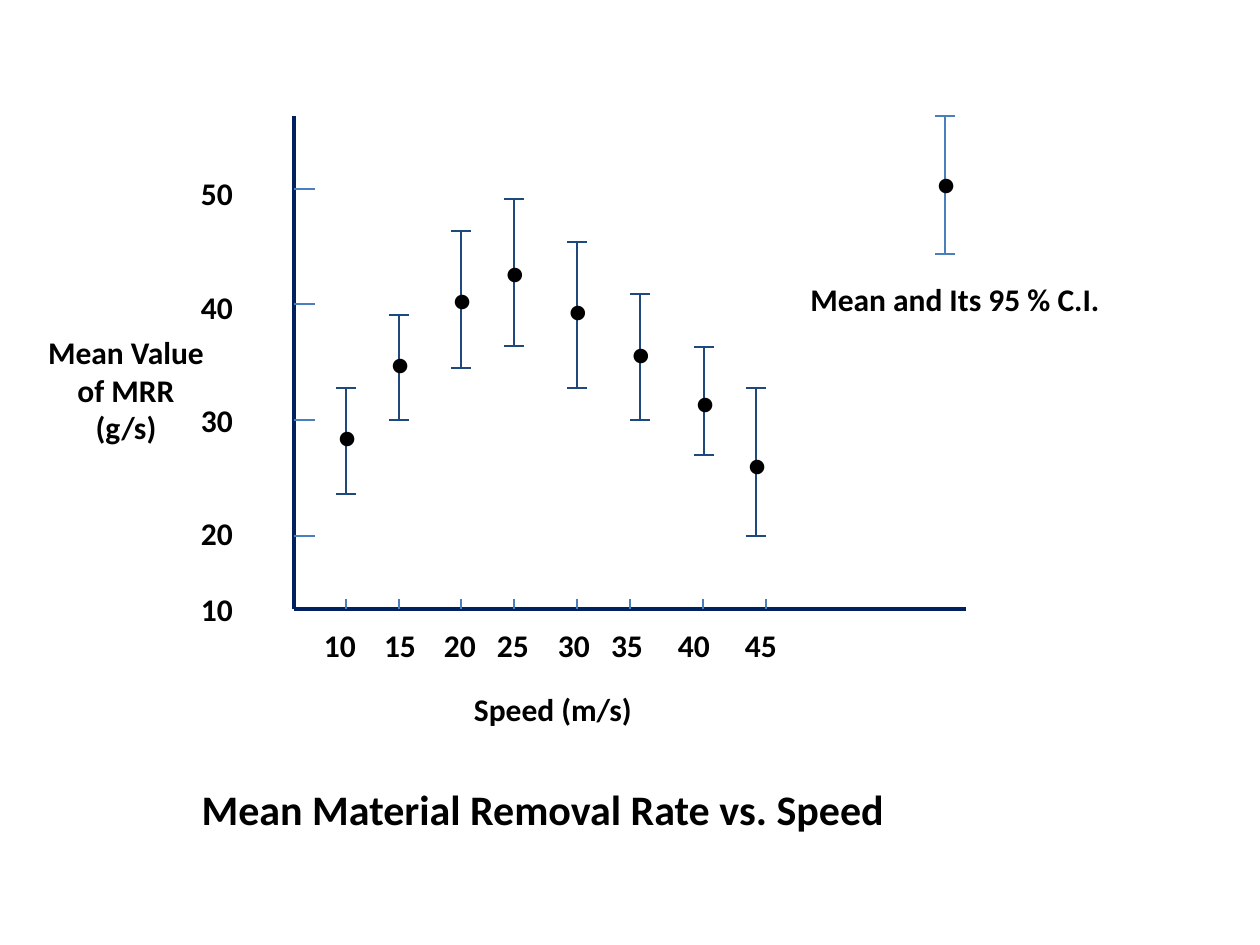
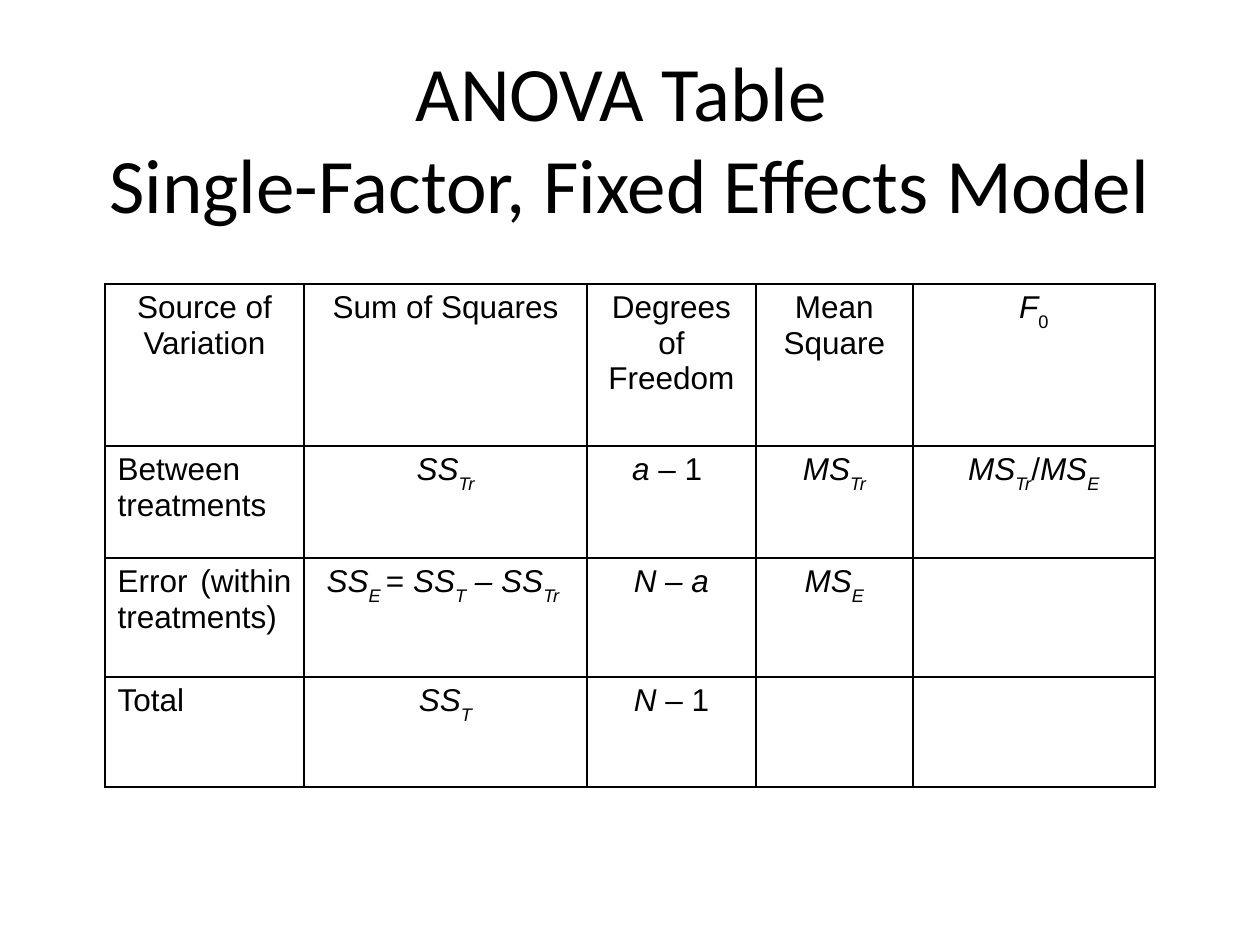
from typing import NamedTuple

import pptx
import pptx.dml.color
import pptx.enum.shapes
import pptx.enum.text
import pptx.oxml
import pptx.oxml.ns
import pptx.presentation
import pptx.slide
import pptx.table
import pptx.text.text
import pptx.util

EMU_PER_PX = 914400 / 126
SLIDE_WIDTH, SLIDE_HEIGHT = 1260, 945
TITLE_ONLY_LAYOUT = 5

COLORS = {
    "text": "000000",
    "axis": "002060",
    "tick": "4B7EBC",
    "bar": "1F497D",
    "border": "000000",
}
ALIGN = pptx.enum.text.PP_ALIGN
ANCHOR = pptx.enum.text.MSO_ANCHOR


class Box(NamedTuple):
    left: int
    top: int
    width: int
    height: int


class Label(NamedTuple):
    text: str
    center_x: int
    center_y: int
    width: int
    height: int = 50
    bold: bool = True


class Interval(NamedTuple):
    """A mean with the ends of its confidence interval, in px."""
    x: int
    top: int
    mean: int
    bottom: int
    color: str = "bar"


class AxisMark(NamedTuple):
    text: str
    tick: int
    label: int


class Run(NamedTuple):
    text: str
    italic: bool = False
    subscript: bool = False


AXIS_X, AXIS_Y = 294, 609
AXIS_TOP, AXIS_RIGHT = 116, 966
CAP_HALF_WIDTH = 10
Y_TICK_LENGTH, X_TICK_LENGTH = 21, 10

SPEED_MARKS = [
    AxisMark("10", 346, 340),
    AxisMark("15", 399, 400),
    AxisMark("20", 461, 460),
    AxisMark("25", 514, 513),
    AxisMark("30", 577, 574),
    AxisMark("35", 630, 627),
    AxisMark("40", 703, 694),
    AxisMark("45", 766, 761),
]
RATE_MARKS = [
    AxisMark("50", 189, 193),
    AxisMark("40", 304, 307),
    AxisMark("30", 420, 420),
    AxisMark("20", 536, 533),
    AxisMark("10", AXIS_Y, AXIS_Y),
]
INTERVALS = [
    Interval(346, 388, 436, 494),
    Interval(399, 315, 363, 420),
    Interval(461, 231, 299, 368),
    Interval(514, 199, 272, 346),
    Interval(577, 242, 310, 388),
    Interval(640, 294, 353, 420),
    Interval(704, 347, 402, 455),
    Interval(756, 388, 464, 536),
    Interval(945, AXIS_TOP, 183, 254, "tick"),
]
CAPTIONS = [
    Label("Mean Value of MRR (g/s)", 126, 389, 160, 127),
    Label("Speed (m/s)", 553, 709, 200),
    Label("Mean and Its 95 % C.I.", 955, 299, 400),
]

COLUMN_WIDTHS = [199, 283, 169, 157, 242]
ROW_HEIGHTS = [162, 112, 119, 110]
SS, MS = Run("SS", italic=True), Run("MS", italic=True)
SUB_TR, SUB_E, SUB_T = (Run(name, italic=True, subscript=True) for name in ("Tr", "E", "T"))
ANOVA_ROWS = [
    [
        [Run("Source of Variation")],
        [Run("Sum of Squares")],
        [Run("Degrees of Freedom")],
        [Run("Mean Square")],
        [Run("F", italic=True), Run("0", subscript=True)],
    ],
    [
        [Run("Between treatments")],
        [SS, SUB_TR],
        [Run("a", italic=True), Run(" – 1 ")],
        [MS, SUB_TR],
        [MS, SUB_TR, Run("/"), MS, SUB_E],
    ],
    [
        [Run("Error (within treatments)")],
        [SS, Run("E ", True, True), Run("= "), SS, SUB_T,
         Run(" – SS", italic=True), Run("Tr ", True, True)],
        [Run("N – a", italic=True)],
        [MS, SUB_E],
        [],
    ],
    [
        [Run("Total")],
        [SS, SUB_T],
        [Run("N", italic=True), Run(" – 1")],
        [],
        [],
    ],
]


def px(length: int) -> pptx.util.Emu:
    return pptx.util.Emu(round(length * EMU_PER_PX))


def rgb(name: str) -> pptx.dml.color.RGBColor:
    return pptx.dml.color.RGBColor.from_string(COLORS[name])


def format_paragraph(paragraph: pptx.text.text._Paragraph, size: int, align: ALIGN,
                     bold: bool = False, font_name: str = "Calibri") -> None:
    paragraph.alignment = align
    paragraph.font.name = font_name
    paragraph.font.size = pptx.util.Pt(size)
    paragraph.font.bold = bold
    paragraph.font.color.rgb = rgb("text")


def set_title(slide: pptx.slide.Slide, lines: list[str], box: Box, size: int,
              align: ALIGN, bold: bool = False) -> None:
    title = slide.shapes.title
    title.left, title.top, title.width, title.height = map(px, box)
    frame = title.text_frame
    frame.text = "\n".join(lines)
    frame.auto_size = pptx.enum.text.MSO_AUTO_SIZE.NONE
    frame.vertical_anchor = ANCHOR.TOP
    for paragraph in frame.paragraphs:
        format_paragraph(paragraph, size, align, bold)


def add_label(slide: pptx.slide.Slide, label: Label) -> None:
    """Write text centred on the label's point."""
    shape = slide.shapes.add_textbox(
        px(label.center_x - label.width // 2), px(label.center_y - label.height // 2),
        px(label.width), px(label.height))
    frame = shape.text_frame
    frame.word_wrap = True
    frame.vertical_anchor = ANCHOR.MIDDLE
    frame.margin_left = frame.margin_right = frame.margin_top = frame.margin_bottom = 0
    frame.text = label.text
    format_paragraph(frame.paragraphs[0], 18, ALIGN.CENTER, label.bold)


def add_line(slide: pptx.slide.Slide, x1: int, y1: int, x2: int, y2: int,
             color: str, weight: float = 0.75) -> None:
    line = slide.shapes.add_connector(
        pptx.enum.shapes.MSO_CONNECTOR.STRAIGHT, px(x1), px(y1), px(x2), px(y2))
    line.line.color.rgb = rgb(color)
    line.line.width = pptx.util.Pt(weight)
    properties = line._element.spPr
    properties.append(properties.makeelement(pptx.oxml.ns.qn("a:effectLst"), {}))


def add_interval(slide: pptx.slide.Slide, interval: Interval) -> None:
    x = interval.x
    add_line(slide, x, interval.top, x, interval.bottom, interval.color)
    for y in (interval.top, interval.bottom):
        add_line(slide, x - CAP_HALF_WIDTH, y, x + CAP_HALF_WIDTH, y, interval.color)
    add_label(slide, Label("●", x + 1, interval.mean, 42, bold=False))


def add_axes(slide: pptx.slide.Slide) -> None:
    add_line(slide, AXIS_X, AXIS_Y, AXIS_RIGHT, AXIS_Y, "axis", 2.25)
    add_line(slide, AXIS_X, AXIS_TOP, AXIS_X, AXIS_Y, "axis", 2.25)
    for mark in SPEED_MARKS:
        add_line(slide, mark.tick, AXIS_Y, mark.tick, AXIS_Y - X_TICK_LENGTH, "tick")
        add_label(slide, Label(mark.text, mark.label, 645, 50))
    for mark in RATE_MARKS:
        if mark.tick != AXIS_Y:
            add_line(slide, AXIS_X, mark.tick, AXIS_X + Y_TICK_LENGTH, mark.tick, "tick")
        add_label(slide, Label(mark.text, 217, mark.label, 50))


def set_borders(cell: pptx.table._Cell) -> None:
    properties = cell._tc.get_or_add_tcPr()
    for index, side in enumerate(("lnL", "lnR", "lnT", "lnB")):
        properties.insert(index, pptx.oxml.parse_xml(
            f'<a:{side} {pptx.oxml.ns.nsdecls("a")} w="12700"><a:solidFill>'
            f'<a:srgbClr val="{COLORS["border"]}"/></a:solidFill></a:{side}>'))


def fill_cell(cell: pptx.table._Cell, runs: list[Run], align: ALIGN) -> None:
    cell.fill.background()
    set_borders(cell)
    paragraph = cell.text_frame.paragraphs[0]
    format_paragraph(paragraph, 18, align, font_name="Arial")
    for part in runs:
        run = paragraph.add_run()
        run.text = part.text
        run.font.italic = part.italic
        if part.subscript:
            run._r.get_or_add_rPr().set("baseline", "-30000")


def add_anova_table(slide: pptx.slide.Slide) -> None:
    box = Box(105, 284, sum(COLUMN_WIDTHS), sum(ROW_HEIGHTS))
    table = slide.shapes.add_table(
        len(ROW_HEIGHTS), len(COLUMN_WIDTHS), *map(px, box)).table
    table.first_row = table.horz_banding = False
    for column, width in zip(table.columns, COLUMN_WIDTHS):
        column.width = px(width)
    for row, height in zip(table.rows, ROW_HEIGHTS):
        row.height = px(height)
    for row_index, row_runs in enumerate(ANOVA_ROWS):
        for column_index, runs in enumerate(row_runs):
            is_row_name = row_index > 0 and column_index == 0
            fill_cell(table.cell(row_index, column_index), runs,
                      ALIGN.JUSTIFY if is_row_name else ALIGN.CENTER)


def add_slide(presentation: pptx.presentation.Presentation) -> pptx.slide.Slide:
    return presentation.slides.add_slide(presentation.slide_layouts[TITLE_ONLY_LAYOUT])


def build_rate_slide(presentation: pptx.presentation.Presentation) -> None:
    slide = add_slide(presentation)
    set_title(slide, ["Mean Material Removal Rate vs. Speed"],
              Box(189, 777, 924, 63), 24, ALIGN.LEFT, bold=True)
    add_axes(slide)
    for interval in INTERVALS:
        add_interval(slide, interval)
    for caption in CAPTIONS:
        add_label(slide, caption)


def build_anova_slide(presentation: pptx.presentation.Presentation) -> None:
    slide = add_slide(presentation)
    set_title(slide, ["ANOVA Table ", "Single-Factor, Fixed Effects Model"],
              Box(0, 38, SLIDE_WIDTH, 158), 44, ALIGN.CENTER)
    add_anova_table(slide)


def main() -> None:
    presentation = pptx.Presentation()
    presentation.slide_width = px(SLIDE_WIDTH)
    presentation.slide_height = px(SLIDE_HEIGHT)
    build_rate_slide(presentation)
    build_anova_slide(presentation)
    presentation.save("out.pptx")


if __name__ == "__main__":
    main()
